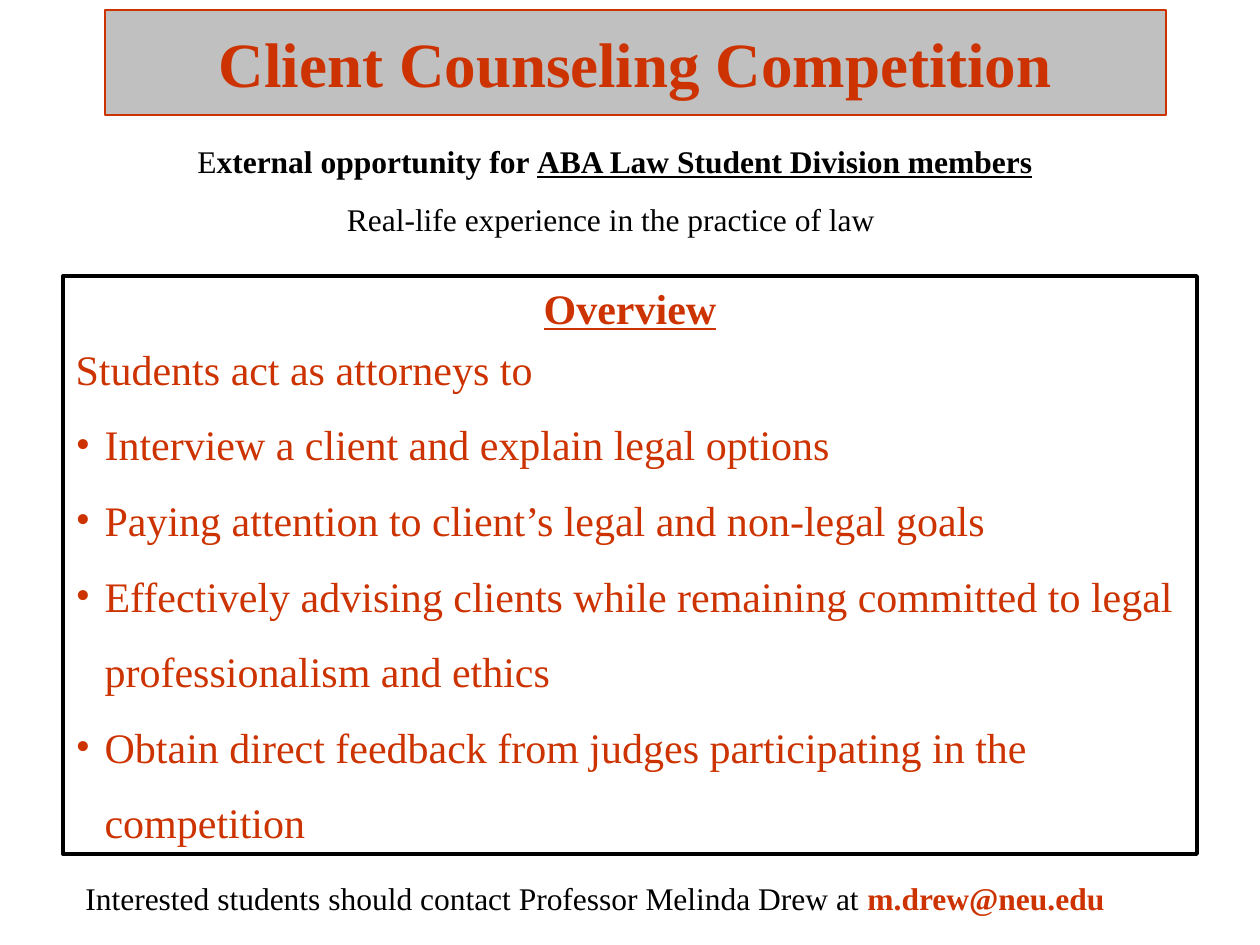
from lxml.etree import SubElement
from pptx import Presentation
from pptx.dml.color import RGBColor
from pptx.enum.text import MSO_ANCHOR, MSO_AUTO_SIZE, PP_ALIGN
from pptx.oxml.ns import qn
from pptx.util import Pt

PIXEL = 914400 / 126
RED = RGBColor(0xCC, 0x33, 0x00)
BLACK = RGBColor(0x00, 0x00, 0x00)
SILVER = RGBColor(0xC0, 0xC0, 0xC0)
FONT = "Times New Roman"
BULLET_INDENT = 29
BULLETS = [
    "Interview a client and explain legal options",
    "Paying attention to client’s legal and non-legal goals",
    "Effectively advising clients while remaining committed to legal professionalism and ethics",
    "Obtain direct feedback from judges participating in the competition",
]


def px(length):
    """Convert pixels to EMU."""
    return round(length * PIXEL)


def place(shape, box):
    """Move a shape to its box and return its prepared text frame."""
    shape.left, shape.top, shape.width, shape.height = map(px, box)
    frame = shape.text_frame
    frame.word_wrap = True
    frame.auto_size = MSO_AUTO_SIZE.NONE
    return frame


def add_run(paragraph, text, size, color, bold=False, underline=False):
    """Add one formatted run."""
    run = paragraph.add_run()
    run.text = text
    font = run.font
    font.name, font.size, font.bold, font.underline = FONT, Pt(size), bold, underline
    font.color.rgb = color


def add_paragraph(frame, alignment=PP_ALIGN.LEFT, before=0):
    """Return the empty first paragraph or a new one, aligned and spaced."""
    first = frame.paragraphs[0]
    paragraph = frame.add_paragraph() if first.runs else first
    paragraph.alignment = alignment
    paragraph.space_before = Pt(before)
    return paragraph


def set_bullet(paragraph, bulleted):
    """Give a paragraph a red hanging bullet or none at all."""
    properties = paragraph._p.get_or_add_pPr()
    indent = px(BULLET_INDENT) if bulleted else 0
    properties.set("marL", str(indent))
    properties.set("indent", str(-indent))
    if bulleted:
        color = SubElement(properties, qn("a:buClr"))
        SubElement(color, qn("a:srgbClr"), val=str(RED))
        SubElement(properties, qn("a:buFont"), typeface=FONT)
        SubElement(properties, qn("a:buChar"), char="•")
    else:
        SubElement(properties, qn("a:buNone"))


def add_title(slide, box):
    """Fill the title banner."""
    title = slide.shapes.title
    frame = place(title, box)
    frame.vertical_anchor = MSO_ANCHOR.MIDDLE
    title.fill.solid()
    title.fill.fore_color.rgb = SILVER
    title.line.color.rgb = RED
    title.line.width = Pt(0.75)
    add_run(add_paragraph(frame, PP_ALIGN.CENTER), "Client Counseling Competition", 36, RED, True)


def add_introduction(slide, box):
    """Add the two centred lines under the title."""
    frame = place(slide.shapes.add_textbox(0, 0, 0, 0), box)
    paragraph = add_paragraph(frame, PP_ALIGN.CENTER)
    add_run(paragraph, "E", 18, BLACK)
    add_run(paragraph, "xternal opportunity for ", 18, BLACK, True)
    add_run(paragraph, "ABA Law Student Division members", 18, BLACK, True, True)
    paragraph = add_paragraph(frame, PP_ALIGN.CENTER, 11.2)
    add_run(paragraph, "Real-life experience in the practice of law ", 18, BLACK)


def add_overview(slide, box):
    """Fill the framed overview list."""
    body = slide.placeholders[1]
    frame = place(body, box)
    frame.vertical_anchor = MSO_ANCHOR.TOP
    body.line.color.rgb = BLACK
    body.line.width = Pt(2.25)
    heading = add_paragraph(frame, PP_ALIGN.CENTER)
    set_bullet(heading, False)
    add_run(heading, "Overview", 24, RED, True, True)
    lead = add_paragraph(frame, before=6)
    set_bullet(lead, False)
    add_run(lead, "Students act as attorneys to", 24, RED)
    for text in BULLETS:
        item = add_paragraph(frame)
        item.line_spacing = 1.5
        set_bullet(item, True)
        add_run(item, text, 24, RED)


def add_contact(slide, box):
    """Add the contact line at the foot."""
    frame = place(slide.shapes.add_textbox(0, 0, 0, 0), box)
    paragraph = add_paragraph(frame)
    add_run(paragraph, "Interested students should contact Professor Melinda Drew at ", 18, BLACK)
    add_run(paragraph, "m.drew@neu.edu", 18, RED, True)


def main():
    """Build and save the presentation."""
    presentation = Presentation()
    presentation.slide_width, presentation.slide_height = px(1260), px(945)
    slide = presentation.slides.add_slide(presentation.slide_layouts[1])
    add_title(slide, (105, 10, 1061, 105))
    add_introduction(slide, (116, 136, 998, 204))
    add_overview(slide, (63, 276, 1134, 578))
    add_contact(slide, (73, 873, 1166, 72))
    presentation.save("out.pptx")


if __name__ == "__main__":
    main()
